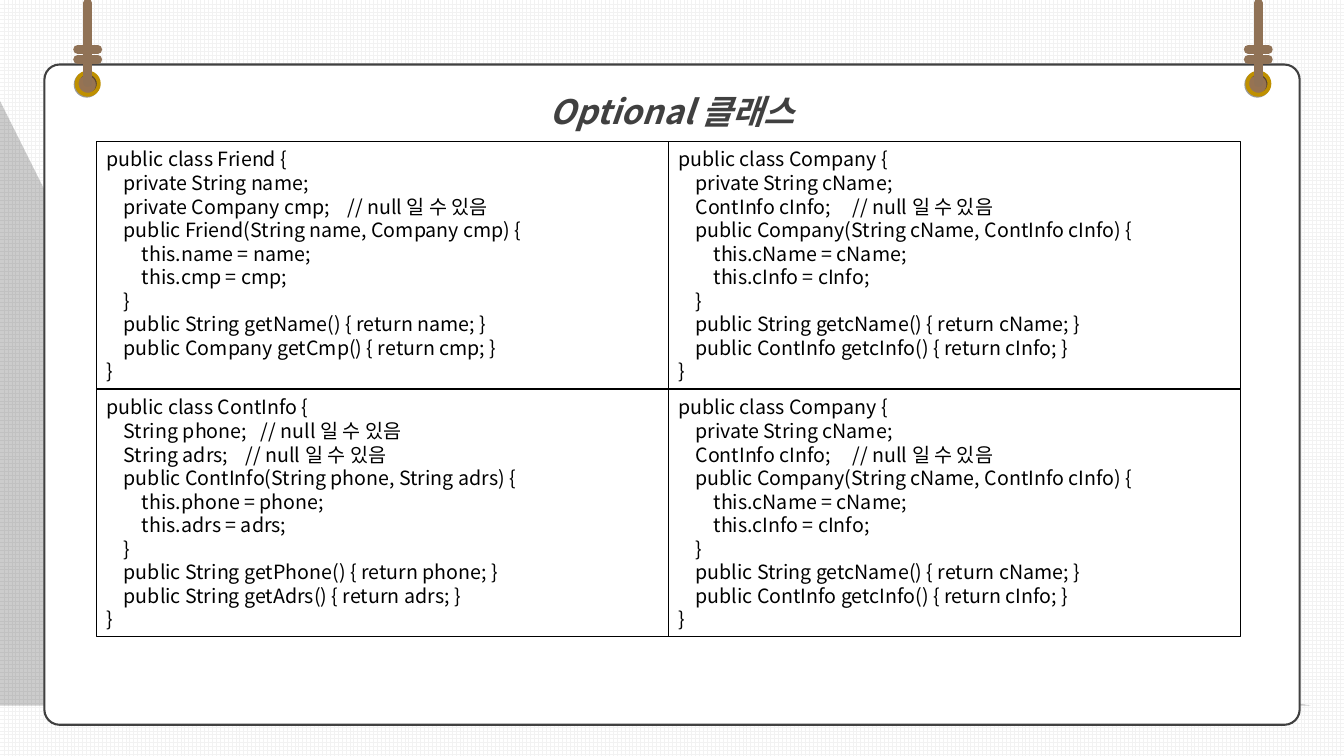
from lxml import etree
from pptx import Presentation
from pptx import util as u
from pptx.dml.color import RGBColor
from pptx.enum import dml, shapes, text
from pptx.oxml.ns import qn

FONT = "Noto Sans CJK KR"
COLORS = {"ink": "000000", "title": "404040", "paper": "FFFFFF", "grid": "F2F2F2",
          "rope": "907256", "knob": "967353", "ring": "BF9000"}
COLORS = {name: RGBColor.from_string(value) for name, value in COLORS.items()}


def add_shape(kind, left, top, width, height, fill=None, line=None, weight=1):
    """Add a preset shape without shadow, with optional fill and outline."""
    shape = slide.shapes.add_shape(kind, *map(u.Inches, (left, top, width, height)))
    shape.shadow.inherit = False
    if fill:
        shape.fill.solid()
        shape.fill.fore_color.rgb = COLORS[fill]
    else:
        shape.fill.background()
    if line:
        shape.line.color.rgb = COLORS[line]
        shape.line.width = u.Pt(weight)
    else:
        shape.line.fill.background()
    return shape


def add_run(paragraph, words, size, color):
    """Add a run in the slide font for Latin and Korean letters."""
    run = paragraph.add_run()
    run.text = words
    run.font.size = u.Pt(size)
    run.font.name = FONT
    run.font.color.rgb = COLORS[color]
    etree.SubElement(run.font._element, qn("a:ea"), typeface=FONT)
    return run


presentation = Presentation()
presentation.slide_width, presentation.slide_height = u.Inches(13.33), u.Inches(7.5)
slide = presentation.slides.add_slide(presentation.slide_layouts[6])

background = slide.background.fill
background.patterned()
background.pattern = dml.MSO_PATTERN.LARGE_GRID
background.fore_color.rgb = COLORS["grid"]
background.back_color.rgb = COLORS["paper"]

# Soft board shadow: two Bezier curves, then straight edges
curves = [[(0.45, 1.1), (0.43, 1.98), (0.27, 6.33), (0.27, 7.19)],
          [(0.27, 7.19), (0.27, 7.27), (0.34, 7.34), (0.42, 7.34)]]
points = []
for curve in curves:
    for step in range(1, 13):
        t = step / 12
        weights = ((1 - t) ** 3, 3 * t * (1 - t) ** 2, 3 * t ** 2 * (1 - t), t ** 3)
        points.append(tuple(sum(w * point[axis] for w, point in zip(weights, curve))
                            for axis in (0, 1)))
points.append((12.75, 7.13))
builder = slide.shapes.build_freeform(2.32, 4.59, scale=u.Inches(1))
builder.add_line_segments([curves[0][0]] + points)
board_shadow = builder.convert_to_shape()
board_shadow.shadow.inherit = False
board_shadow.fill.solid()
board_shadow.fill.fore_color.rgb = COLORS["ink"]
shadow_color = board_shadow._element.spPr.find(qn("a:solidFill"))[0]
etree.SubElement(shadow_color, qn("a:alpha"), val="20000")
board_shadow.line.fill.background()

board = add_shape(shapes.MSO_SHAPE.ROUNDED_RECTANGLE, 0.44, 0.64, 12.45, 6.55,
                  "paper", "title", 1.5)
board.adjustments[0] = 0.023

title = slide.shapes.add_textbox(*map(u.Inches, (3.33, 0.69, 6.67, 0.63))).text_frame
title.word_wrap = True
title.vertical_anchor = text.MSO_ANCHOR.MIDDLE
paragraph = title.paragraphs[0]
paragraph.alignment = text.PP_ALIGN.CENTER
paragraph.line_spacing = 1.5
run = add_run(paragraph, "Optional 클래스", 24, "title")
run.font.bold = run.font.italic = True

# Two ropes with knots, each tied to a ring
for center in (0.87, 12.48):
    knob = (shapes.MSO_SHAPE.OVAL, center - 0.11, 0.72, 0.22, 0.22)
    add_shape(*knob, fill="knob")
    ring = add_shape(*knob, line="ring", weight=2.75)
    effects = ring._element.spPr.find(qn("a:effectLst"))
    drop = etree.SubElement(effects, qn("a:outerShdw"), dist=str(u.Pt(1)), dir="8100000")
    drop_color = etree.SubElement(drop, qn("a:srgbClr"), val="000000")
    etree.SubElement(drop_color, qn("a:alpha"), val="40000")
    for ends in ((center, 0.82, center, 0.03),
                 (center + 0.1, 0.59, center - 0.1, 0.59),
                 (center + 0.1, 0.49, center - 0.1, 0.49)):
        rope = slide.shapes.add_connector(shapes.MSO_CONNECTOR.STRAIGHT,
                                          *map(u.Inches, ends))
        rope.line.color.rgb = COLORS["rope"]
        rope.line.width = u.Pt(6.25)
        rope.line._ln.set("cap", "rnd")
        etree.SubElement(rope._element.spPr, qn("a:effectLst"))

friend = """public class Friend {
\tprivate String name;
\tprivate Company cmp;\t// null 일 수 있음
\tpublic Friend(String name, Company cmp) {
\t\tthis.name = name;
\t\tthis.cmp = cmp;
\t}
\tpublic String getName() { return name; }
\tpublic Company getCmp() { return cmp; }
}"""
company = """public class Company {
\tprivate String cName;
\tContInfo cInfo;\t// null 일 수 있음
\tpublic Company(String cName, ContInfo cInfo) {
\t\tthis.cName = cName;
\t\tthis.cInfo = cInfo;
\t}
\tpublic String getcName() { return cName; }
\tpublic ContInfo getcInfo() { return cInfo; }
}"""
cont_info = """public class ContInfo {
\tString phone;\t// null 일 수 있음
\tString adrs;\t// null 일 수 있음
\tpublic ContInfo(String phone, String adrs) {
\t\tthis.phone = phone;
\t\tthis.adrs = adrs;
\t}
\tpublic String getPhone() { return phone; }
\tpublic String getAdrs() { return adrs; }
}"""
comment_stops = {"private Company cmp;": 2.39, "ContInfo cInfo;": 1.73,
                 "String phone;": 1.53, "String adrs;": 1.38}
box_width, box_height = 5.67, 2.46

for index, code in enumerate((friend, company, cont_info, company)):
    row, column = divmod(index, 2)
    box = add_shape(shapes.MSO_SHAPE.RECTANGLE, 0.96 + column * box_width,
                    1.4 + row * box_height, box_width, box_height,
                    line="ink", weight=0.75)
    frame = box.text_frame
    frame.word_wrap = True
    frame.vertical_anchor = text.MSO_ANCHOR.MIDDLE
    for number, line in enumerate(code.splitlines()):
        paragraph = frame.paragraphs[0] if number == 0 else frame.add_paragraph()
        paragraph.alignment = text.PP_ALIGN.LEFT
        stops = [0.17, 0.35]
        statement = line.strip().split("\t")[0]
        if statement in comment_stops:
            stops.append(comment_stops[statement])
        tabs = etree.SubElement(paragraph._p.get_or_add_pPr(), qn("a:tabLst"))
        for stop in stops:
            etree.SubElement(tabs, qn("a:tab"), pos=str(u.Inches(stop)), algn="l")
        add_run(paragraph, line, 14, "ink")

presentation.save("out.pptx")
